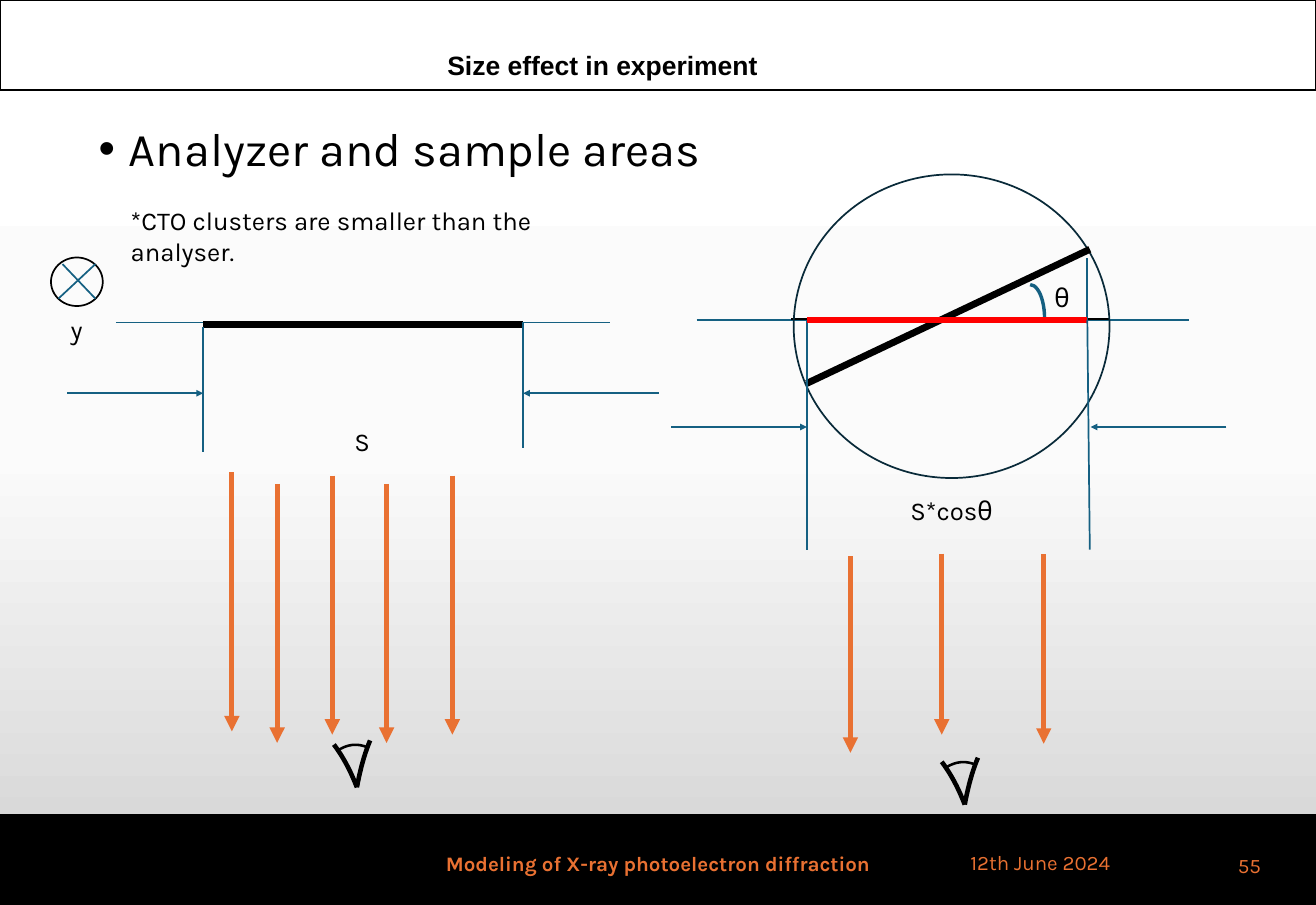
from lxml.etree import SubElement
from pptx import Presentation
from pptx.dml.color import RGBColor
from pptx.enum.shapes import MSO_CONNECTOR, MSO_SHAPE
from pptx.enum.text import MSO_ANCHOR, PP_ALIGN
from pptx.oxml.ns import qn
from pptx.util import Inches, Pt

COLUMNS, ROWS = 16, 11
SLIDE_WIDTH, SLIDE_HEIGHT = Inches(16), Inches(11)
BAR_ROWS = 1.09

BLACK = RGBColor(0x00, 0x00, 0x00)
WHITE = RGBColor(0xFF, 0xFF, 0xFF)
RED = RGBColor(0xFF, 0x00, 0x00)
TEAL = RGBColor(0x15, 0x60, 0x82)
NAVY = RGBColor(0x09, 0x2A, 0x39)
ORANGE = RGBColor(0xE9, 0x71, 0x32)
BACKGROUND_STOPS = [
    (0, WHITE),
    (50, RGBColor(0xFB, 0xFB, 0xFB)),
    (100, RGBColor(0xD1, 0xD1, 0xD1)),
]


def across(columns):
    return round(SLIDE_WIDTH * columns / COLUMNS)


def down(rows):
    return round(SLIDE_HEIGHT * rows / ROWS)


def frame(left, top, width, height):
    return across(left), down(top), across(width), down(height)


def paint_background(slide):
    fill = slide.background.fill
    fill.gradient()
    fill.gradient_angle = 270
    stops = slide.element.find(".//" + qn("a:gsLst"))
    for stop in list(stops):
        stops.remove(stop)
    for percent, color in BACKGROUND_STOPS:
        stop = SubElement(stops, qn("a:gs"), pos=str(percent * 1000))
        SubElement(stop, qn("a:srgbClr"), val=str(color))


def style_outline(shape, color, weight, fill=None):
    shape.shadow.inherit = False
    if fill is None:
        shape.fill.background()
    else:
        shape.fill.solid()
        shape.fill.fore_color.rgb = fill
    shape.line.color.rgb = color
    shape.line.width = Pt(weight)


def add_outline(slide, preset, place, color=BLACK, weight=1.5, fill=None):
    shape = slide.shapes.add_shape(preset, *frame(*place))
    style_outline(shape, color, weight, fill)


def add_line(slide, start, end, color=TEAL, weight=1.5, arrow=False):
    connector = slide.shapes.add_connector(
        MSO_CONNECTOR.STRAIGHT,
        across(start[0]), down(start[1]), across(end[0]), down(end[1]))
    connector.line.color.rgb = color
    connector.line.width = Pt(weight)
    if arrow:
        SubElement(connector.line._get_or_add_ln(), qn("a:tailEnd"), type="triangle")
    SubElement(connector._element.spPr, qn("a:effectLst"))


def add_text(slide, text, place, size=22.5, color=BLACK, font="Karla", bold=False,
             align=PP_ALIGN.LEFT, anchor=MSO_ANCHOR.TOP):
    box = slide.shapes.add_textbox(*frame(*place))
    text_frame = box.text_frame
    text_frame.word_wrap = True
    text_frame.vertical_anchor = anchor
    text_frame.text = text
    paragraph = text_frame.paragraphs[0]
    paragraph.alignment = align
    run = paragraph.runs[0]
    run.font.name = font
    run.font.size = Pt(size)
    run.font.bold = bold
    run.font.color.rgb = color
    return paragraph


def add_title(slide, text):
    paragraph = add_text(slide, text, (5.3, 0.44, 8.71, 0.55), 40, font="Arial", bold=True)
    paragraph._p.get_or_add_pPr().set("marL", str(across(0.04)))
    paragraph.runs[0]._r.get_or_add_rPr().set("baseline", "23000")


def add_bullet(slide, text):
    paragraph = add_text(slide, text, (1.1, 1.48, 13.8, 6.98), 41.1)
    paragraph.line_spacing = 0.9
    properties = paragraph._p.get_or_add_pPr()
    properties.set("marL", str(across(0.37)))
    properties.set("indent", str(-across(0.37)))
    SubElement(properties, qn("a:buFont"), typeface="Arial")
    SubElement(properties, qn("a:buChar"), char="•")


def curve(start, control, end, steps=10):
    shares = [step / steps for step in range(steps + 1)]
    return [tuple((1 - t) ** 2 * a + 2 * t * (1 - t) * b + t ** 2 * c
                  for a, b, c in zip(start, control, end)) for t in shares]


def add_curves(slide, origin, curves, weight):
    paths = [[(across(origin[0] + x), down(origin[1] + y)) for x, y in points]
             for points in curves]
    builder = slide.shapes.build_freeform(*paths[0][0])
    builder.add_line_segments(paths[0][1:], close=False)
    for path in paths[1:]:
        builder.move_to(*path[0])
        builder.add_line_segments(path[1:], close=False)
    style_outline(builder.convert_to_shape(), BLACK, weight)


def add_eye(slide, tip):
    left_lid = curve((0, 0), (-0.12, -0.31), (-0.28, -0.52))
    right_lid = curve((0, 0), (0.06, -0.33), (0.16, -0.57))
    pupil = curve((-0.23, -0.45), (-0.06, -0.56), (0.12, -0.49))
    add_curves(slide, tip, [left_lid, right_lid], 4)
    add_curves(slide, tip, [pupil], 2.25)


def add_beams(slide, beams):
    for column, top, bottom in beams:
        add_line(slide, (column, top), (column, bottom), ORANGE, 4.5, arrow=True)


def add_width_arrows(slide, left, right, row, length=1.65):
    add_line(slide, (left - length, row), (left, row), arrow=True)
    add_line(slide, (right + length, row), (right, row), arrow=True)


def add_bars(slide):
    for top in (0, ROWS - BAR_ROWS):
        add_outline(slide, MSO_SHAPE.RECTANGLE, (0, top, COLUMNS, BAR_ROWS),
                    fill=BLACK if top else WHITE)
    add_line(slide, (0, BAR_ROWS), (COLUMNS, BAR_ROWS), BLACK)


def add_footer(slide):
    add_text(slide, "12th June 2024", (11.7, 10.18, 2.2, 0.59), 18, ORANGE,
             anchor=MSO_ANCHOR.MIDDLE)
    add_text(slide, "Modeling of X-ray photoelectron diffraction", (5.3, 10.2, 5.4, 0.59),
             18, ORANGE, bold=True, align=PP_ALIGN.CENTER, anchor=MSO_ANCHOR.MIDDLE)
    add_text(slide, "55", (14.9, 10.22, 0.53, 0.59), 18, ORANGE,
             align=PP_ALIGN.RIGHT, anchor=MSO_ANCHOR.MIDDLE)


def add_axis_mark(slide):
    add_outline(slide, MSO_SHAPE.FLOWCHART_CONNECTOR, (0.62, 3.13, 0.63, 0.59))
    add_line(slide, (1.16, 3.21), (0.71, 3.63))
    add_line(slide, (0.76, 3.21), (1.16, 3.63))
    add_text(slide, "y", (0.76, 3.77, 0.51, 0.48))


def add_flat_sample(slide):
    left, right = 2.47, 6.36
    add_line(slide, (1.41, 3.92), (7.42, 3.92))
    add_line(slide, (left, 3.94), (right, 3.94), BLACK, 6)
    add_line(slide, (left, 3.97), (left, 5.5))
    add_line(slide, (right, 3.92), (right, 5.45))
    add_width_arrows(slide, left, right, 4.78)
    add_text(slide, "S", (4.21, 5.13, 1.83, 0.48))
    add_eye(slide, (4.34, 9.57))
    add_beams(slide, [(2.82, 5.74, 8.89), (3.37, 5.88, 9.03), (4.04, 5.78, 8.93),
                      (4.7, 5.88, 9.03), (5.5, 5.78, 8.93)])


def add_tilted_sample(slide):
    left, right, axis = 9.81, 13.22, 3.89
    add_line(slide, (8.47, axis), (14.45, axis))
    add_line(slide, (9.62, 3.88), (13.5, 3.88), BLACK)
    add_outline(slide, MSO_SHAPE.FLOWCHART_CONNECTOR, (9.65, 2.12, 3.84, 3.69), NAVY)
    add_line(slide, (left, 4.66), (13.25, 3.03), BLACK, 6)
    add_outline(slide, MSO_SHAPE.ARC, (12.35, 3.46, 0.35, 0.82), TEAL, 3)
    add_text(slide, "θ", (12.72, 3.37, 0.53, 0.48))
    add_line(slide, (left, 4.64), (left, axis))
    add_line(slide, (right, axis), (right, 3.13))
    add_line(slide, (left, axis), (right, axis), RED, 4.5)
    add_line(slide, (left, 4.21), (left, 6.68))
    add_line(slide, (right, axis), (13.25, 6.68))
    add_width_arrows(slide, left, 13.26, 5.19)
    add_text(slide, "S*cosθ", (10.97, 5.97, 1.83, 0.48))
    add_eye(slide, (11.73, 9.78))
    add_beams(slide, [(10.34, 6.76, 9.15), (11.45, 6.73, 8.93), (12.69, 6.74, 9.04)])


def main():
    presentation = Presentation()
    presentation.slide_width = SLIDE_WIDTH
    presentation.slide_height = SLIDE_HEIGHT
    slide = presentation.slides.add_slide(presentation.slide_layouts[6])
    paint_background(slide)
    add_bars(slide)
    add_bullet(slide, "Analyzer and sample areas")
    add_footer(slide)
    add_title(slide, "Size effect in experiment")
    add_flat_sample(slide)
    add_tilted_sample(slide)
    add_axis_mark(slide)
    add_text(slide, "*CTO clusters are smaller than the analyser.", (1.49, 2.44, 6.38, 0.48))
    presentation.save("out.pptx")


if __name__ == "__main__":
    main()
